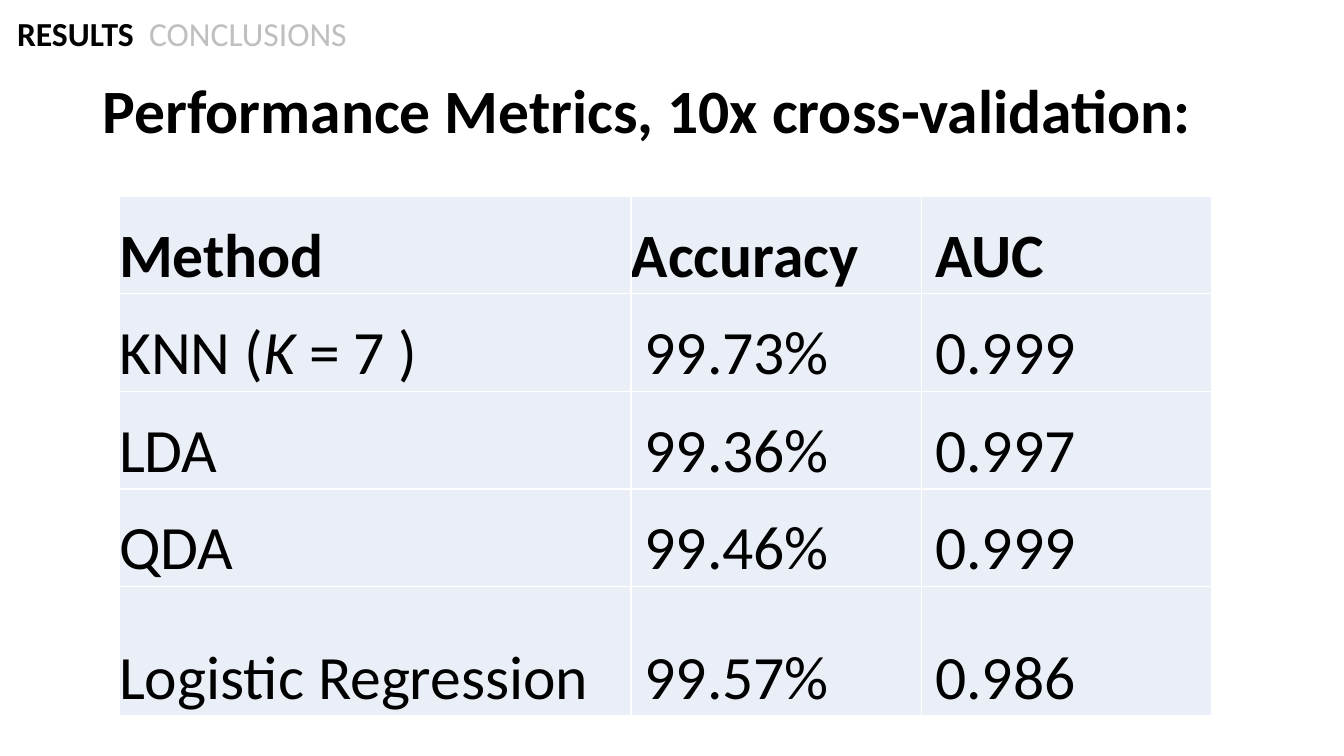
from pptx import Presentation
from pptx.dml.color import RGBColor as Rgb
from pptx.enum.text import MSO_ANCHOR as Anchor, MSO_AUTO_SIZE as Fit, PP_ALIGN as Align
from pptx.oxml import parse_xml
from pptx.oxml.ns import nsdecls
from pptx.util import Cm, Pt

INK = {"text": "000000", "faint": "BFBFBF", "cell": "EAEFF7", "line": "FFFFFF"}


class Page:
    def __init__(self, deck, font):
        self.font = font
        self.slide = deck.slides.add_slide(deck.slide_layouts[5])

    def fill_in(self, para, runs, size):
        para.alignment = Align.LEFT
        for text, style in runs:
            run = para.add_run()
            run.text = text
            font = run.font
            font.name, font.size = self.font, Pt(size)
            font.bold, font.italic = "b" in style, "i" in style
            font.color.rgb = Rgb.from_string(INK["faint" if "f" in style else "text"])

    def title(self, box, text, size):
        shape = self.slide.shapes.title
        shape.left, shape.top, shape.width, shape.height = map(Cm, box)
        frame = shape.text_frame
        frame.word_wrap, frame.auto_size = True, Fit.NONE
        frame.vertical_anchor = Anchor.MIDDLE
        para = frame.paragraphs[0]
        para.line_spacing = 0.9
        self.fill_in(para, [(text, "b")], size)

    def label(self, box, runs, size):
        frame = self.slide.shapes.add_textbox(*map(Cm, box)).text_frame
        frame.word_wrap, frame.auto_size = False, Fit.SHAPE_TO_FIT_TEXT
        self.fill_in(frame.paragraphs[0], runs, size)

    def cell(self, cell, runs, size, indent):
        cell.margin_left = Cm(indent)
        cell.margin_right = cell.margin_top = cell.margin_bottom = 0
        cell.vertical_anchor = Anchor.BOTTOM
        for side in "LRTB":
            cell._tc.get_or_add_tcPr().append(parse_xml(
                f'<a:ln{side} {nsdecls("a")} w="{Pt(1)}"><a:solidFill>'
                f'<a:srgbClr val="{INK["line"]}"/></a:solidFill></a:ln{side}>'))
        cell.fill.solid()
        cell.fill.fore_color.rgb = Rgb.from_string(INK["cell"])
        self.fill_in(cell.text_frame.paragraphs[0], runs, size)

    def table(self, left, top, wide, high, rows, size, indent):
        grid = self.slide.shapes.add_table(
            len(high), len(wide), Cm(left), Cm(top), Cm(sum(wide)), Cm(sum(high))).table
        for col, width in zip(grid.columns, wide):
            col.width = Cm(width)
        for row, height in zip(grid.rows, high):
            row.height = Cm(height)
        for r, row in enumerate(rows):
            for c, item in enumerate(row):
                runs = [(item, "" if r else "b")] if isinstance(item, str) else item
                inset = indent if c == 2 or (r and c) else 0
                self.cell(grid.cell(r, c), runs, size, inset)


deck = Presentation()
deck.slide_width, deck.slide_height = Cm(33.87), Cm(19.05)
page = Page(deck, "Calibri")

page.title((2.33, 1.01, 29.21, 3.68), "Performance Metrics, 10x cross-validation:", 44)

scores = [
    ("Method", "Accuracy", "AUC"),
    ([("KNN (", ""), ("K ", "i"), ("= 7 )", "")], "99.73%", "0.999"),
    ("LDA", "99.36%", "0.997"),
    ("QDA", "99.46%", "0.999"),
    ("Logistic Regression", "99.57%", "0.986"),
]
page.table(3, 4.94, [12.9] + [7.32] * 2, [2.46] * 4 + [3.26], scores, 44, 0.35)

page.label((0.18, 0.2, 8.84, 1.28), [("RESULTS  ", "b"), ("CONCLUSIONS", "f")], 24)

deck.save("out.pptx")
